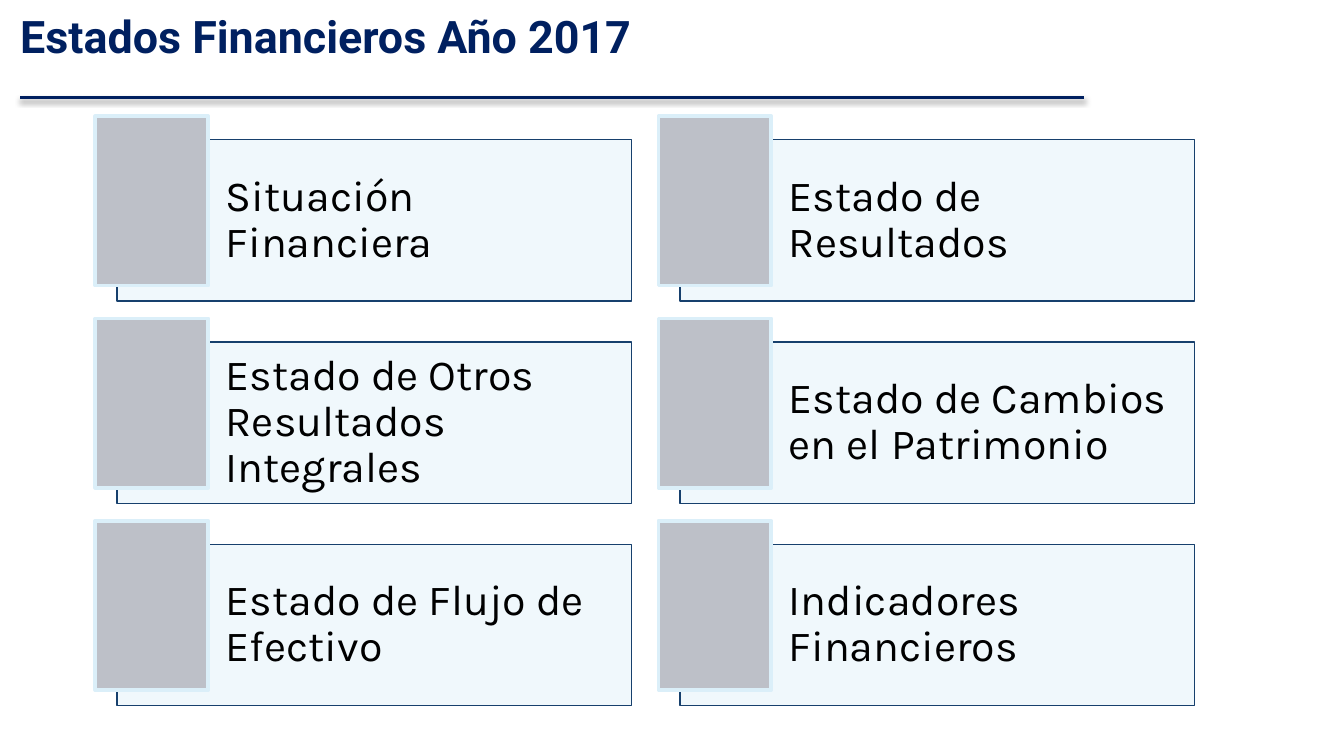
from dataclasses import dataclass

from pptx import Presentation
from pptx import util as u
from pptx.dml.color import RGBColor
from pptx.enum import shapes, text
from pptx.oxml import parse_xml
from pptx.oxml.ns import nsdecls, qn


@dataclass(frozen=True)
class Theme:
    navy: str = "002060"
    edge: str = "17406D"
    ice: str = "DBEFF9"
    gray: str = "BDC0C8"
    ink: str = "000000"
    head: str = "Roboto"
    body: str = "Karla"
    head_size: int = 24
    body_size: int = 23


THEME = Theme()
SCALE = u.Inches(1) // 200
LABELS = [
    "Situación Financiera",
    "Estado de Resultados",
    "Estado de Otros Resultados Integrales",
    "Estado de Cambios en el Patrimonio",
    "Estado de Flujo de Efectivo",
    "Indicadores Financieros",
]


def px(n):
    return SCALE * n


def rgb(code):
    return RGBColor.from_string(code)


def write(frame, words, font, size, color, space, insets, bold=False):
    frame.word_wrap = True
    frame.auto_size = text.MSO_AUTO_SIZE.NONE
    left, top, right, base = map(px, insets)
    frame.margin_left, frame.margin_top = left, top
    frame.margin_right, frame.margin_bottom = right, base
    para = frame.paragraphs[0]
    para.alignment = text.PP_ALIGN.LEFT
    para.line_spacing = space
    run = para.add_run()
    run.text = words
    run.font.name = font
    run.font.size = u.Pt(size)
    run.font.bold = bold
    run.font.color.rgb = rgb(color)


def add_title(slide, words):
    title = slide.shapes.title
    title.left, title.top, title.width, title.height = map(px, (30, 25, 1584, 120))
    title.text_frame.vertical_anchor = text.MSO_ANCHOR.TOP
    write(title.text_frame, words, THEME.head, THEME.head_size, THEME.navy,
          0.85, (0, 0, 0, 0), bold=True)


def add_rule(slide):
    rule = slide.shapes.add_connector(
        shapes.MSO_CONNECTOR.STRAIGHT, px(30), px(145), px(1613), px(145))
    rule.line.color.rgb = rgb(THEME.navy)
    rule.line.width = u.Pt(2)
    rule.element.spPr.append(parse_xml(
        f'<a:effectLst {nsdecls("a")}>'
        f'<a:outerShdw blurRad="{u.Pt(3.1)}" dist="{u.Pt(1.6)}" dir="5400000"'
        ' rotWithShape="0"><a:srgbClr val="000000"><a:alpha val="38000"/>'
        '</a:srgbClr></a:outerShdw></a:effectLst>'))


def add_box(group, box, fill, line, width):
    rect = group.shapes.add_shape(shapes.MSO_SHAPE.RECTANGLE, *map(px, box))
    rect.shadow.inherit = False
    rect.fill.solid()
    rect.fill.fore_color.rgb = rgb(fill)
    rect.line.color.rgb = rgb(line)
    rect.line.width = u.Pt(width)
    return rect


def fade(rect, share):
    color = rect.element.spPr.find(qn("a:solidFill")).find(qn("a:srgbClr"))
    color.append(parse_xml(f'<a:alpha {nsdecls("a")} val="{share * 1000}"/>'))


def add_card(group, left, top, words):
    card = add_box(group, (left, top, 766, 240), THEME.ice, THEME.edge, 0.75)
    fade(card, 40)
    card.text_frame.vertical_anchor = text.MSO_ANCHOR.MIDDLE
    write(card.text_frame, words, THEME.body, THEME.body_size, THEME.ink,
          0.9, (162, 20, 20, 20))
    add_box(group, (left - 32, top - 35, 168, 252), THEME.gray, THEME.ice, 2)


def main():
    deck = Presentation()
    deck.slide_width, deck.slide_height = px(2000), px(1125)
    slide = deck.slides.add_slide(deck.slide_layouts.get_by_name("Title Only"))
    add_title(slide, "Estados Financieros Año 2017")
    add_rule(slide)
    group = slide.shapes.add_group_shape()
    for i, words in enumerate(LABELS):
        row, col = divmod(i, 2)
        add_card(group, 174 + 838 * col, 208 + 301 * row, words)
    deck.save("out.pptx")


if __name__ == "__main__":
    main()
